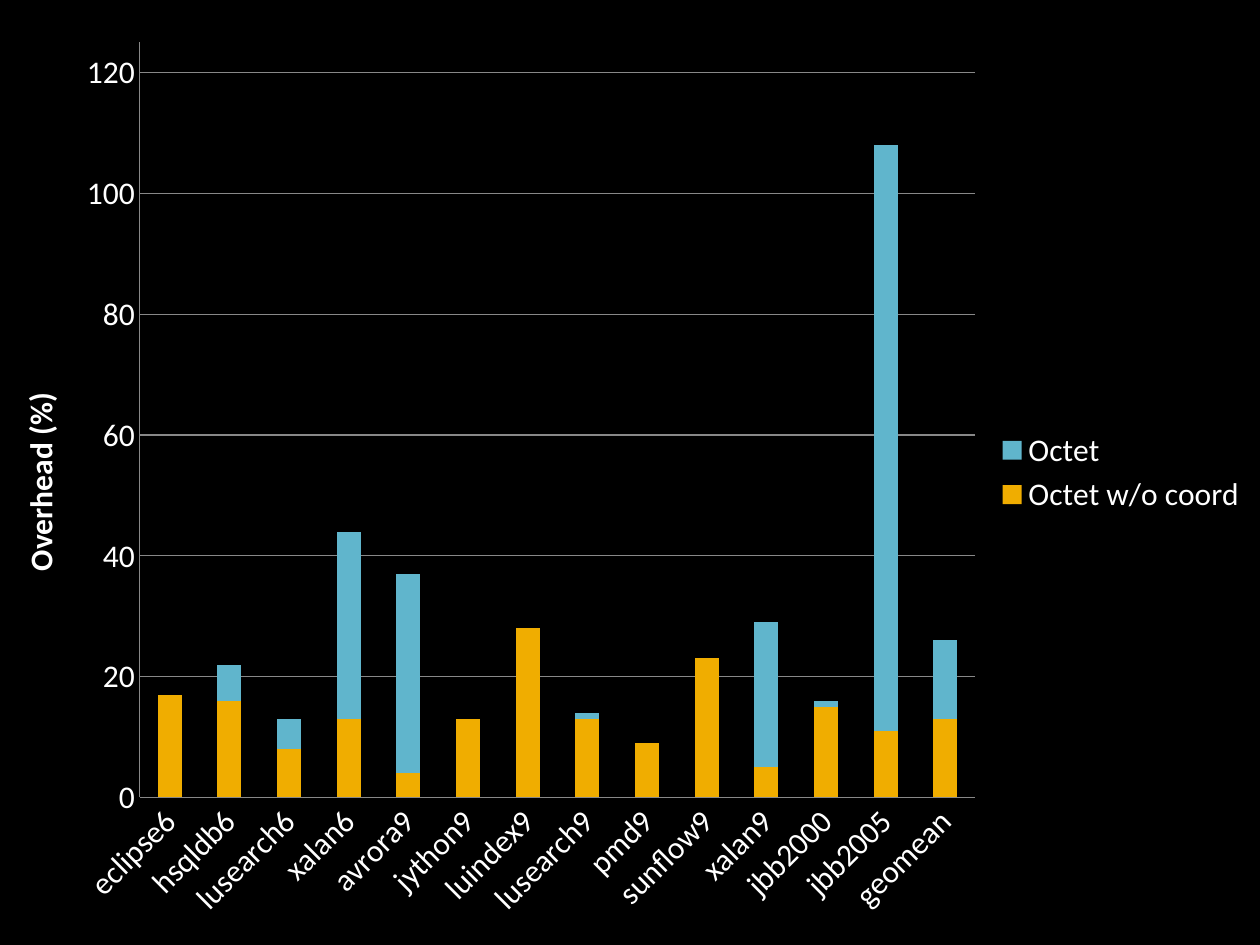
"""Build a slide with a stacked column chart of Octet overhead per benchmark."""
from dataclasses import dataclass
from typing import Optional

from lxml import etree
from pptx import Presentation
from pptx import util as u
from pptx.chart import data as chart_data
from pptx.dml.color import RGBColor
from pptx.enum import chart as charts, shapes
from pptx.oxml import ns

COLORS = {
    "background": "000000",
    "label": "FFFFFF",
    "grid": "888888",
    "without_coord": "F0AD00",
    "octet": "60B5CC",
}
BENCHMARKS = [
    "eclipse6", "hsqldb6", "lusearch6", "xalan6", "avrora9", "jython9", "luindex9",
    "lusearch9", "pmd9", "sunflow9", "xalan9", "jbb2000", "jbb2005", "geomean",
]


@dataclass
class Overhead:
    name: str
    percents: list[Optional[int]]
    color: str


@dataclass
class Share:
    x: float
    y: float
    w: Optional[float] = None
    h: Optional[float] = None


OVERHEADS = [
    Overhead("Octet w/o coord",
             [17, 16, 8, 13, 4, 13, 28, 13, 9, 23, 5, 15, 11, 13], "without_coord"),
    Overhead("Octet",
             [None, 6, 5, 31, 33, 0, -1, 1, None, None, 24, 1, 97, 13], "octet"),
]
PLOT = Share(0.111, 0.045, 0.663, 0.799)
TITLE = Share(0.01, 0.41)


def rgb(name: str) -> RGBColor:
    return RGBColor.from_string(COLORS[name])


def style_font(font, bold: bool = False) -> None:
    font.size = u.Pt(18)
    font.name = "Calibri"
    font.bold = bold
    font.color.rgb = rgb("label")


def style_line(line) -> None:
    line.color.rgb = rgb("grid")
    line.width = u.Pt(0.75)


def place(parent, share: Share, index: int) -> None:
    for old in parent.findall(ns.qn("c:layout")):
        parent.remove(old)
    layout = etree.Element(ns.qn("c:layout"))
    manual = etree.SubElement(layout, ns.qn("c:manualLayout"))
    settings = {"xMode": "edge", "yMode": "edge",
                "x": share.x, "y": share.y, "w": share.w, "h": share.h}
    if share.w is not None:
        settings = {"layoutTarget": "inner", **settings}
    for tag, value in settings.items():
        if value is not None:
            etree.SubElement(manual, ns.qn(f"c:{tag}")).set("val", str(value))
    parent.insert(index, layout)


def rotate(parent, degrees: int) -> None:
    body = parent.find(f".//{ns.qn('a:bodyPr')}")
    body.set("rot", str(degrees * 60000))
    body.set("vert", "horz")


def style_axis(axis) -> None:
    axis.major_tick_mark = axis.minor_tick_mark = charts.XL_TICK_MARK.NONE
    style_font(axis.tick_labels.font)
    style_line(axis.format.line)


def style_axes(chart) -> None:
    benchmarks, overhead = chart.category_axis, chart.value_axis
    style_axis(benchmarks)
    style_axis(overhead)
    rotate(chart.element.xpath(".//c:catAx/c:txPr")[0].getparent(), -45)

    overhead.minimum_scale, overhead.maximum_scale = 0, 125
    overhead.major_unit = 20
    overhead.has_major_gridlines = True
    style_line(overhead.major_gridlines.format.line)

    caption = overhead.axis_title
    caption.text_frame.text = "Overhead (%)"
    style_font(caption.text_frame.paragraphs[0].runs[0].font, bold=True)
    title = chart.element.xpath(".//c:valAx/c:title")[0]
    rotate(title, -90)
    place(title, TITLE, 1)


def add_overhead_chart(slide, width: int, height: int) -> None:
    table = chart_data.CategoryChartData()
    table.categories = BENCHMARKS
    for overhead in OVERHEADS:
        table.add_series(overhead.name, overhead.percents)
    chart = slide.shapes.add_chart(
        charts.XL_CHART_TYPE.COLUMN_STACKED, 0, 0, width, height, table).chart
    style_font(chart.font)
    chart.has_title = False

    columns = chart.plots[0]
    columns.gap_width, columns.overlap = 150, 100
    columns.vary_by_categories = False
    for series, overhead in zip(columns.series, OVERHEADS):
        series.invert_if_negative = False
        series.format.fill.solid()
        series.format.fill.fore_color.rgb = rgb(overhead.color)

    style_axes(chart)
    place(chart.element.xpath(".//c:plotArea")[0], PLOT, 0)
    chart.has_legend = True
    chart.legend.position = charts.XL_LEGEND_POSITION.RIGHT
    chart.legend.include_in_layout = False
    style_font(chart.legend.font)


def add_backdrop(slide, width: int, height: int) -> None:
    backdrop = slide.shapes.add_shape(shapes.MSO_SHAPE.RECTANGLE, 0, 0, width, height)
    backdrop.shadow.inherit = False
    backdrop.fill.solid()
    backdrop.fill.fore_color.rgb = rgb("background")
    backdrop.line.fill.background()


def main() -> None:
    deck = Presentation()
    deck.slide_width, deck.slide_height = u.Inches(10), u.Inches(7.5)
    slide = deck.slides.add_slide(deck.slide_layouts[6])
    add_backdrop(slide, deck.slide_width, deck.slide_height)
    add_overhead_chart(slide, deck.slide_width, deck.slide_height)
    deck.save("out.pptx")


if __name__ == "__main__":
    main()
